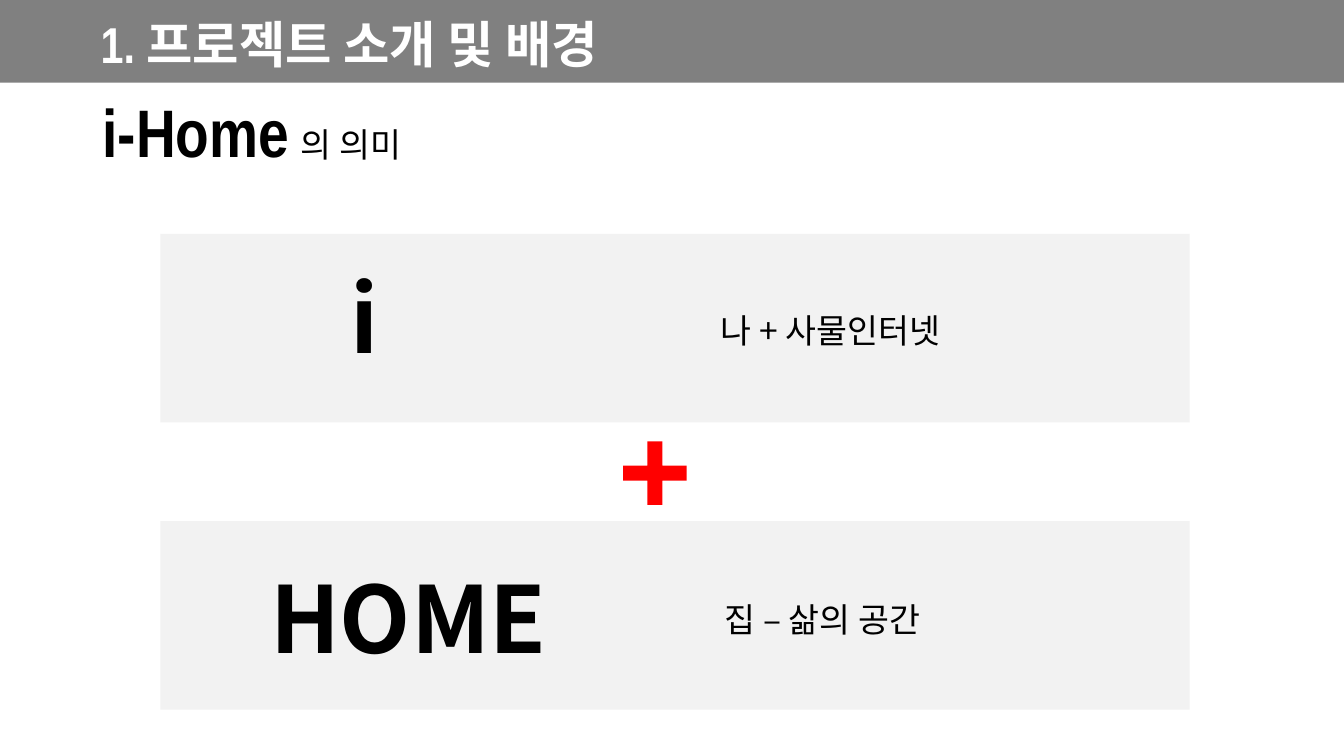
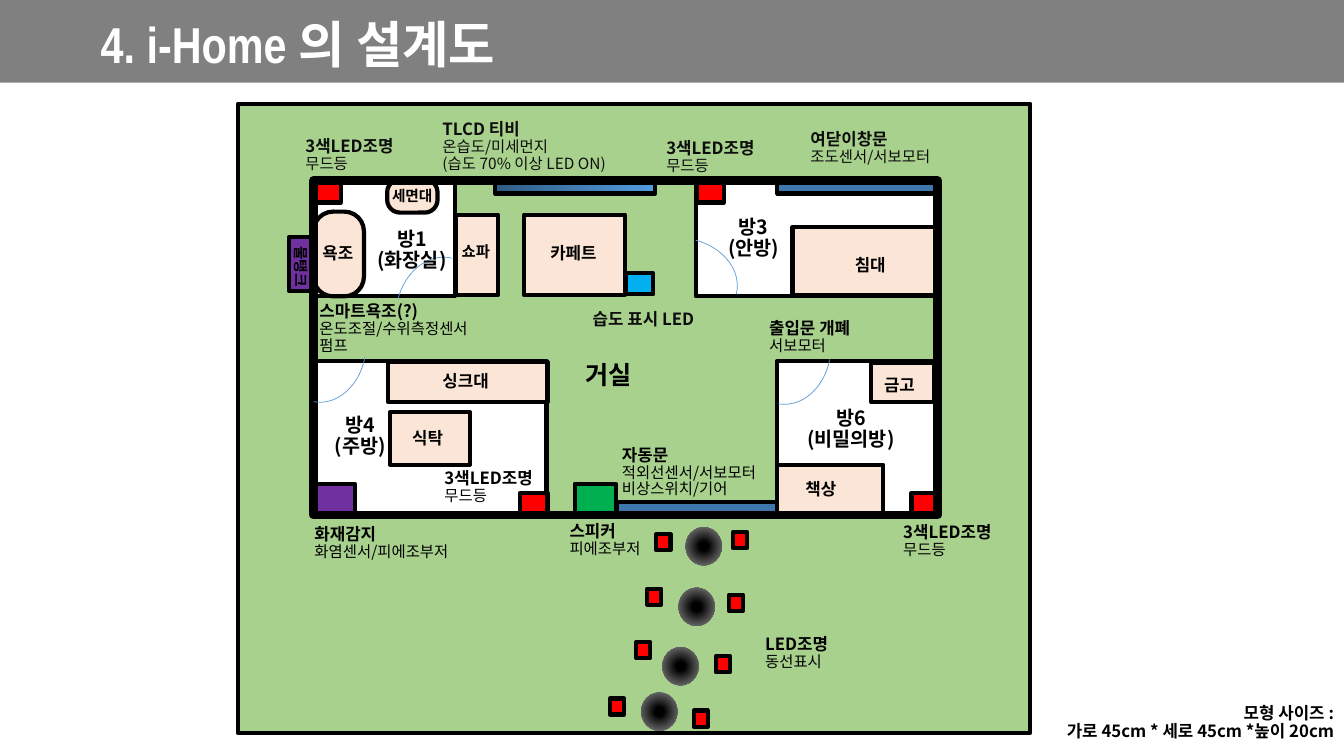
from lxml import etree
from pptx import Presentation
from pptx import util as u
from pptx.dml.color import RGBColor
from pptx.enum import shapes, text
from pptx.oxml import ns

PX = 9144  # EMU per px, 100 px to the inch
COLORS = {
    "band": "808080", "white": "FFFFFF", "black": "000000", "ink": "0D0D0D",
    "panel": "F2F2F2", "red": "FF0000", "lawn": "A9D18E", "wood": "FBE5D6",
    "window": "3D77AB", "purple": "7030A0", "green": "00B050", "cyan": "00B0F0",
    "door": "5B9BD5", "tv_dark": "305C84", "tv_light": "529BDE",
}
NOTO, NARROW = "Noto Sans CJK KR", "Arial Narrow"
KIND = shapes.MSO_SHAPE
ALIGN = text.PP_ALIGN
ANCHOR = text.MSO_ANCHOR


def add_shape(slide, box, fill=None, line=None, width=3, kind=KIND.RECTANGLE, adjust=None):
    """Add a preset shape; fill and line are colour names or None."""
    shape = slide.shapes.add_shape(kind, *(n * PX for n in box))
    shape.shadow.inherit = False
    if fill:
        shape.fill.solid()
        shape.fill.fore_color.rgb = RGBColor.from_string(COLORS[fill])
    else:
        shape.fill.background()
    if line:
        shape.line.color.rgb = RGBColor.from_string(COLORS[line])
        shape.line.width = u.Pt(width)
    else:
        shape.line.fill.background()
    if adjust is not None:
        shape.adjustments[0] = adjust
    return shape


def add_text(slide, box, lines, color="black", font=NOTO, align=ALIGN.LEFT,
             anchor=ANCHOR.MIDDLE, before=0):
    """Add a text box; each line is a list of (text, size, bold) runs."""
    shape = slide.shapes.add_textbox(*(n * PX for n in box))
    frame = shape.text_frame
    frame.word_wrap = True
    frame.vertical_anchor = anchor
    for index, runs in enumerate(lines):
        paragraph = frame.add_paragraph() if index else frame.paragraphs[0]
        paragraph.alignment = align
        paragraph.line_spacing = 0.9
        paragraph.space_before = u.Pt(before)
        for words, size, bold in runs:
            run = paragraph.add_run()
            run.text = words
            run.font.size = u.Pt(size)
            run.font.bold = bold
            run.font.name = font
            run.font.color.rgb = RGBColor.from_string(COLORS[color])
            east_asian = etree.SubElement(run.font._element, ns.qn("a:ea"))
            east_asian.set("typeface", NOTO)
    return shape


presentation = Presentation()
presentation.slide_width = 1333 * PX
presentation.slide_height = 750 * PX

# Shared title band
slides = []
for title in ("1. 프로젝트 소개 및 배경", "4. i-Home 의 설계도"):
    slide = presentation.slides.add_slide(presentation.slide_layouts[6])
    add_shape(slide, (0, 0, 1333, 82), "band")
    add_text(slide, (90, -26, 1150, 145), [[(title, 36, True)]], "white", NARROW)
    slides.append(slide)
meaning, plan = slides

# Slide 1: meaning of the name
add_text(meaning, (92, 62, 1150, 145),
         [[("i-Home", 48, True), (" ", 36, False), ("의 의미", 24, False)]], font=NARROW)
for panel_top, word, word_left, word_top, note, note_left, note_top in (
    (232, "i", 338, 261, "나 + 사물인터넷", 705, 307),
    (517, "HOME", 258, 559, "집 – 삶의 공간", 709, 594),
):
    add_shape(meaning, (159, panel_top, 1021, 187), "panel")
    add_text(meaning, (word_left, word_top, 400, 120), [[(word, 66, True)]])
    add_text(meaning, (note_left, note_top, 409, 89), [[(note, 24, False)]],
             anchor=ANCHOR.TOP, before=10)
add_shape(meaning, (618, 438, 63, 63), "red", kind=KIND.CROSS, adjust=0.382)

# Slide 2: yard, rooms, windows and furniture, back to front
for fill, boxes in (
    ("lawn", [(236, 103, 786, 624)]),
    ("white", [(311, 179, 140, 115), (690, 179, 240, 115),
               (311, 358, 231, 153), (771, 358, 159, 153)]),
    ("window", [(612, 498, 159, 13), (771, 179, 159, 13)]),
    ("wood", [(452, 213, 42, 80), (786, 225, 145, 68), (771, 461, 105, 50),
              (520, 213, 100, 80), (385, 359, 158, 40), (387, 409, 79, 52),
              (864, 360, 62, 39)]),
    ("red", [(516, 489, 27, 21), (311, 180, 27, 21), (691, 180, 27, 21), (904, 489, 27, 21)]),
    ("green", [(570, 480, 41, 31)]),
    ("purple", [(311, 480, 41, 31), (287, 235, 23, 54)]),
    ("cyan", [(621, 271, 27, 21)]),
):
    for box in boxes:
        add_shape(plan, box, fill, "black")

for bath_box in ((311, 210, 50, 84), (384, 178, 50, 33)):
    add_shape(plan, bath_box, "wood", "black", kind=KIND.ROUNDED_RECTANGLE, adjust=0.388)

television = add_shape(plan, (491, 179, 159, 13), line="black")
television.fill.gradient()
television.fill.gradient_angle = 0
for stop, name in zip(television.fill.gradient_stops, ("tv_dark", "tv_light")):
    stop.color.rgb = RGBColor.from_string(COLORS[name])

add_shape(plan, (311, 179, 619, 332), line="black", width=6)

for left, top, angle in ((268, 305, 100.5), (729, 307, 100.5),
                         (627, 237, 14.5), (383, 265, 284.3)):
    door = add_shape(plan, (left, top, 105, 84), line="door", width=0.5, kind=KIND.ARC)
    door.rotation = angle

# Path: stepping stones between small lamps
for left, top in ((680, 523), (673, 583), (657, 642), (636, 687)):
    stone = add_shape(plan, (left, top, 36, 38), kind=KIND.OVAL)
    stone.fill.gradient()
    for stop, name, position in zip(stone.fill.gradient_stops, ("black", "band"), (0.16, 0.89)):
        stop.color.rgb = RGBColor.from_string(COLORS[name])
        stop.position = position
    gradient = stone._element.spPr.find(ns.qn("a:gradFill"))
    gradient.remove(gradient.find(ns.qn("a:lin")))
    radial = etree.SubElement(gradient, ns.qn("a:path"), path="circle")
    etree.SubElement(radial, ns.qn("a:fillToRect"),
                     {side: "50000" for side in ("l", "t", "r", "b")})

for left, top in ((727, 528), (723, 590), (710, 651), (688, 705),
                  (651, 530), (642, 584), (631, 637), (605, 693)):
    add_shape(plan, (left, top, 14, 16), "red", "black")

# Furniture names
for left, top, size, name in (
    (448, 197, 11, "쇼파"), (838, 210, 12, "침대"), (789, 433, 12, "책상"),
    (310, 199, 12, "욕조"), (379, 142, 10.5, "세면대"), (536, 199, 12, "카페트"),
    (429, 326, 12, "싱크대"), (399, 382, 12, "식탁"), (867, 329, 12, "금고"),
    (571, 320, 18, "거실"),
):
    add_text(plan, (left, top, 146, 107), [[(name, size, True)]])

tank = add_text(plan, (230, 211, 136, 107), [[("물탱크", 10.5, True)]], align=ALIGN.CENTER)
tank.rotation = 90

# Room names
for left, top, width, room, use in (
    (701, 373, 286, "방6", "(비밀의방)"), (289, 195, 239, "방1", "(화장실)"),
    (680, 183, 135, "방3", "(안방)"), (267, 380, 181, "방4", "(주방)"),
):
    add_text(plan, (left, top, width, 107), [[(room, 14, True)], [(use, 14, True)]],
             align=ALIGN.CENTER)

# Device labels: bold name, then details
LAMP = ("3색LED조명", "무드등")
for left, top, color, (name, *details) in (
    (607, 415, "black", ("자동문", "적외선센서/서보모터", "비상스위치/기어")),
    (429, 92, "ink", ("TLCD 티비", "온습도/미세먼지", "(습도 70% 이상 LED ON)")),
    (794, 94, "ink", ("여닫이창문", "조도센서/서보모터")),
    (431, 430, "black", LAMP),
    (293, 101, "ink", LAMP),
    (651, 103, "ink", LAMP),
    (886, 484, "black", LAMP),
    (555, 483, "black", ("스피커", "피에조부저")),
    (302, 486, "black", ("화재감지", "화염센서/피에조부저")),
    (307, 273, "black", ("스마트욕조(?)", "온도조절/수위측정센서", "펌프")),
    (749, 595, "black", ("LED조명", "동선표시")),
    (753, 281, "black", ("출입문 개폐", "서보모터")),
    (578, 264, "ink", ("습도 표시 LED",)),
):
    add_text(plan, (left, top, 218, 107),
             [[(name, 12, True)]] + [[(detail, 11, False)] for detail in details], color)

add_text(plan, (1032, 664, 301, 107),
         [[("모형 사이즈 :", 12, True)], [("가로 45cm * 세로 45cm *높이 20cm", 12, True)]],
         align=ALIGN.RIGHT)

presentation.save("out.pptx")
